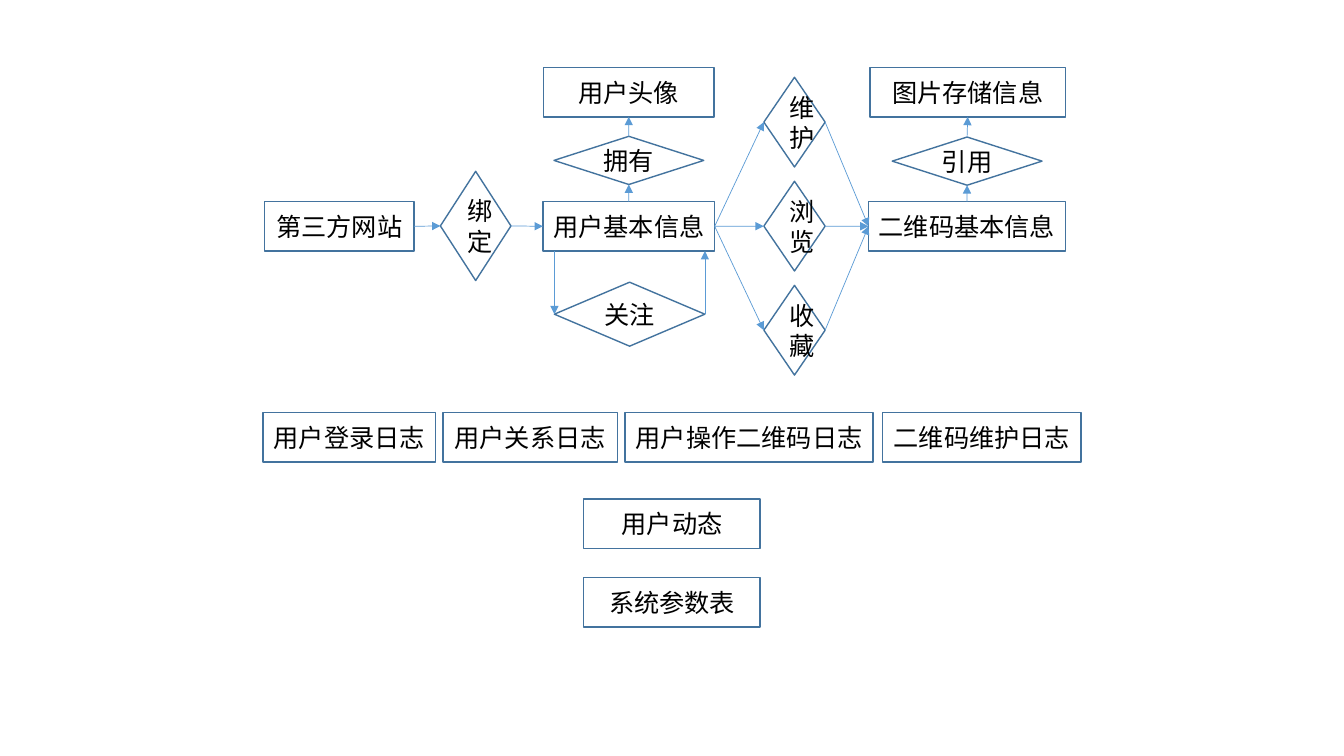
"""Draw the entity-relationship diagram of a QR code service and its log tables."""
from enum import IntEnum
from typing import NamedTuple

from lxml.etree import SubElement
from pptx import Presentation
from pptx.dml.color import RGBColor
from pptx.enum.shapes import MSO_CONNECTOR, MSO_SHAPE
from pptx.enum.text import MSO_ANCHOR, PP_ALIGN
from pptx.oxml.ns import qn
from pptx.shapes.autoshape import Shape
from pptx.shapes.connector import Connector
from pptx.slide import Slide
from pptx.util import Pt

COLORS = {"outline": "43739E", "arrow": "5B9BD5", "diamond": "FFFFFF", "text": "000000"}
FONT = "Noto Sans CJK SC"
ENTITY_HEIGHT = 35.3
USER_ROW, PICTURE_ROW, LOG_ROW = 144, 48.2, 294.6
ACTION_TOP, ACTION_STEP = 55.2, 74.3


class Side(IntEnum):
    TOP = 0
    LEFT = 1
    BOTTOM = 2
    RIGHT = 3


class Entity(NamedTuple):
    label: str
    left: float
    top: float
    width: float


class Relation(NamedTuple):
    label: str
    left: float
    top: float
    width: float
    height: float


class Link(NamedTuple):
    source: str
    source_side: Side
    target: str
    target_side: Side


ENTITIES = [
    Entity("第三方网站", 189, USER_ROW, 106.6),
    Entity("用户基本信息", 387.8, USER_ROW, 122.7),
    Entity("二维码基本信息", 620.4, USER_ROW, 140.6),
    Entity("用户头像", 388.1, PICTURE_ROW, 122),
    Entity("图片存储信息", 621.4, PICTURE_ROW, 139.7),
    Entity("用户登录日志", 187.9, LOG_ROW, 123.2),
    Entity("用户关系日志", 316.4, LOG_ROW, 124.6),
    Entity("用户操作二维码日志", 446.4, LOG_ROW, 177.3),
    Entity("二维码维护日志", 630.5, LOG_ROW, 141.8),
    Entity("用户动态", 417, 356.4, 126),
    Entity("系统参数表", 417, 412.6, 126),
]
ACTIONS = ["维护", "浏览", "收藏"]
RELATIONS = [
    Relation("绑定", 314.6, 122.4, 50.4, 78),
    Relation("拥有", 395.7, 97.4, 107, 34.4),
    Relation("引用", 637.3, 97.9, 107, 34.4),
    Relation("关注", 396, 201.6, 107.5, 45.7),
] + [
    Relation(label, 545.6, ACTION_TOP + ACTION_STEP * index, 43.8, 64.1)
    for index, label in enumerate(ACTIONS)
]
CHAINS = [("第三方网站", "绑定", "用户基本信息")] + [
    ("用户基本信息", action, "二维码基本信息") for action in ACTIONS
]
COLUMNS = [("用户基本信息", "拥有", "用户头像"), ("二维码基本信息", "引用", "图片存储信息")]


def chain_links(chains: list[tuple[str, ...]], leave: Side, enter: Side) -> list[Link]:
    return [
        Link(source, leave, target, enter)
        for chain in chains
        for source, target in zip(chain, chain[1:])
    ]


def draw_node(page: Slide, node: Entity | Relation) -> Shape:
    is_relation = isinstance(node, Relation)
    kind = MSO_SHAPE.DIAMOND if is_relation else MSO_SHAPE.RECTANGLE
    height = node.height if is_relation else ENTITY_HEIGHT
    box = page.shapes.add_shape(kind, Pt(node.left), Pt(node.top), Pt(node.width), Pt(height))
    box.shadow.inherit = False
    if is_relation:
        box.fill.solid()
        box.fill.fore_color.rgb = RGBColor.from_string(COLORS["diamond"])
    else:
        box.fill.background()
    box.line.color.rgb = RGBColor.from_string(COLORS["outline"])
    box.line.width = Pt(1)
    frame = box.text_frame
    frame.text = node.label
    frame.word_wrap = True
    frame.vertical_anchor = MSO_ANCHOR.MIDDLE
    para = frame.paragraphs[0]
    para.alignment = PP_ALIGN.CENTER
    span = para.runs[0]
    span.font.size = Pt(18)
    span.font.name = FONT
    span.font.color.rgb = RGBColor.from_string(COLORS["text"])
    SubElement(span.font._element, qn("a:ea"), typeface=FONT)
    return box


def draw_arrow(page: Slide, start: tuple[int, int] = (0, 0), end: tuple[int, int] = (0, 0)) -> Connector:
    arrow = page.shapes.add_connector(MSO_CONNECTOR.STRAIGHT, *start, *end)
    arrow.line.color.rgb = RGBColor.from_string(COLORS["arrow"])
    arrow.line.width = Pt(0.5)
    properties = arrow._element.spPr
    SubElement(properties.find(qn("a:ln")), qn("a:tailEnd"), type="triangle")
    SubElement(properties, qn("a:effectLst"))
    return arrow


def draw_link(page: Slide, boxes: dict[str, Shape], link: Link) -> None:
    arrow = draw_arrow(page)
    arrow.begin_connect(boxes[link.source], link.source_side)
    arrow.end_connect(boxes[link.target], link.target_side)


def draw_follow_loop(page: Slide, user: Shape, follow: Shape) -> None:
    floor = user.top + user.height
    middle = follow.top + follow.height // 2
    right = follow.left + follow.width
    outgoing = draw_arrow(page, (follow.left, floor), (follow.left, middle))
    outgoing.end_connect(follow, Side.LEFT)
    returning = draw_arrow(page, (right, middle), (right, floor))
    returning.begin_connect(follow, Side.RIGHT)


def main() -> None:
    deck = Presentation()
    deck.slide_width, deck.slide_height = Pt(960), Pt(540)
    page = deck.slides.add_slide(deck.slide_layouts[6])
    boxes = {node.label: draw_node(page, node) for node in ENTITIES + RELATIONS}
    links = chain_links(CHAINS, Side.RIGHT, Side.LEFT) + chain_links(COLUMNS, Side.TOP, Side.BOTTOM)
    for link in links:
        draw_link(page, boxes, link)
    draw_follow_loop(page, boxes["用户基本信息"], boxes["关注"])
    deck.save("out.pptx")


if __name__ == "__main__":
    main()
